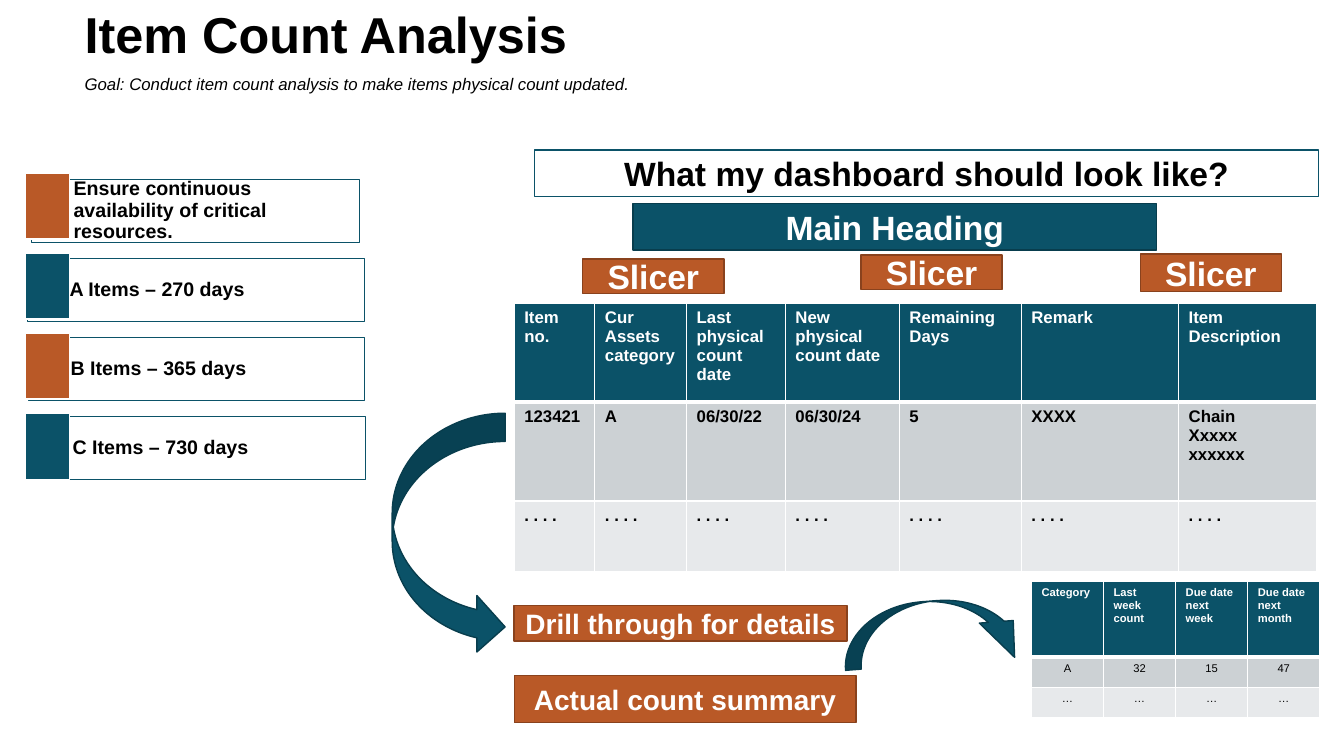
from lxml.etree import SubElement as Sub
from pptx import Presentation
from pptx.dml.color import RGBColor as Rgb
from pptx.enum.shapes import MSO_SHAPE as Kind
from pptx.enum.text import MSO_ANCHOR as Anchor, PP_ALIGN as Align
from pptx.oxml.ns import qn
from pptx.util import Inches, Pt

HUE = {
    "teal": "0B5268", "deep": "083D4D", "rust": "B95927", "brown": "89421D",
    "white": "FFFFFF", "black": "000000", "gray": "CCD1D4", "pale": "E7E9EB",
}
EDGE = {"teal": "deep", "rust": "brown"}
HEAD = {"name": "Arial", "size": Pt(24), "bold": True}
TITLE = {**HEAD, "size": Pt(36)}
GOAL = {"name": "Arial", "size": Pt(12), "bold": False, "italic": True}
LABEL = {**HEAD, "size": Pt(14)}
LINK = {**HEAD, "size": Pt(20)}
CELL = {**HEAD, "size": Pt(12)}
TINY = {**HEAD, "size": Pt(8)}
PLAIN = {**TINY, "bold": False}


def tone(name):
    """Return the named colour."""
    return Rgb.from_string(HUE[name])


def write(frame, text, fmt, hue="black", align=Align.LEFT, space=None):
    """Fill a text frame and format its paragraphs."""
    frame.text = text
    for para in frame.paragraphs:
        para.alignment = align
        para.line_spacing = space
        para.font.color.rgb = tone(hue)
        for key, value in fmt.items():
            setattr(para.font, key, value)


def draw(slide, box, fill, edge, kind=Kind.RECTANGLE, width=1):
    """Add a flat filled shape."""
    shape = slide.shapes.add_shape(kind, *map(Inches, box))
    shape.shadow.inherit = False
    shape.fill.solid()
    shape.fill.fore_color.rgb = tone(fill)
    shape.line.color.rgb = tone(edge)
    shape.line.width = Pt(width)
    return shape


def note(slide, box, text, fmt, pads=(0.1, 0.05, 0.1, 0.05)):
    """Add a text box centred on its height."""
    frame = slide.shapes.add_textbox(*map(Inches, box)).text_frame
    frame.word_wrap = True
    frame.vertical_anchor = Anchor.MIDDLE
    for side, pad in zip(("left", "top", "right", "bottom"), pads):
        setattr(frame, f"margin_{side}", Inches(pad))
    write(frame, text, fmt, space=0.9)


def panel(slide, box, text, fmt, fill="rust", edge=None, ink="white"):
    """Add a box with a centred caption."""
    frame = draw(slide, box, fill, edge or EDGE[fill]).text_frame
    frame.word_wrap = True
    frame.vertical_anchor = Anchor.MIDDLE
    write(frame, text, fmt, ink, Align.CENTER)


def arrow(slide, box, turn, flip=False, bends=()):
    """Add a curved arrow turned by the given degrees."""
    shape = draw(slide, box, "teal", "deep", Kind.CURVED_UP_ARROW)
    shape.rotation = turn
    for i, bend in enumerate(bends):
        shape.adjustments[i] = bend
    if flip:
        shape.element.spPr.find(qn("a:xfrm")).set("flipH", "1")


def rule(cell, row):
    """Draw white borders, thick below the heading row."""
    props = cell._tc.get_or_add_tcPr()
    for side in "LRTB":
        thick = (row, side) in ((0, "B"), (1, "T"))
        line = Sub(props, qn(f"a:ln{side}"), w=str(Pt(3 if thick else 1)))
        Sub(Sub(line, qn("a:solidFill")), qn("a:srgbClr"), val=HUE["white"])


def grid(slide, spot, cols, rows, data, head, body, align=Align.LEFT):
    """Add a table with a teal heading and gray rows."""
    box = (*spot, sum(cols), sum(rows))
    table = slide.shapes.add_table(len(rows), len(cols), *map(Inches, box)).table
    for col, width in zip(table.columns, cols):
        col.width = Inches(width)
    for r, texts in enumerate(data):
        table.rows[r].height = Inches(rows[r])
        for c, text in enumerate(texts):
            cell = table.cell(r, c)
            rule(cell, r)
            cell.fill.solid()
            cell.fill.fore_color.rgb = tone(("teal", "gray", "pale")[r])
            if r:
                write(cell.text_frame, text, body, "black", align)
            else:
                write(cell.text_frame, text, head, "white")


def header(slide, box):
    """Place the title and the goal below it."""
    left, top, width, height = box
    note(slide, box, "Item Count Analysis", TITLE)
    goal = "Goal: Conduct item count analysis to make items physical count updated."
    note(slide, (left, top + 0.66, width, 0.37), goal, GOAL)


def label(slide, box, mark, text, hue):
    """Place one target with its coloured marker."""
    back = draw(slide, box, "white", "teal", width=0.5)
    shade = back.fill._xPr.find(qn("a:solidFill"))[0]
    Sub(shade, qn("a:alpha"), val="40000")
    note(slide, box, text, LABEL, (0.42, 0.06, 0.06, 0.06))
    draw(slide, mark, hue, "white")


def targets(slide, left, top):
    """Stack the count targets."""
    items = (
        ("Ensure continuous availability of critical resources.", 0.06, 3.26),
        ("A Items – 270 days", 0.02, 3.34),
        ("B Items – 365 days", 0.03, 3.33),
        ("C Items – 730 days", 0.05, 3.32),
    )
    for i, (text, shift, width) in enumerate(items):
        box = (left + shift, top + 0.06 + 0.785 * i, width, 0.62)
        mark = (left, top + 0.795 * i, 0.44, 0.65)
        label(slide, box, mark, text, ("rust", "teal")[i % 2])


def board(slide, left, top):
    """Place the dashboard headings, slicers and item table."""
    for x, y, height in ((0.68, 1.08, 0.34), (3.44, 1.04, 0.34), (6.21, 1.03, 0.37)):
        panel(slide, (left + x, top + y, 1.4, height), "Slicer", HEAD)
    panel(slide, (left + 1.18, top + 0.53, 5.19, 0.46), "Main Heading", HEAD, "teal")
    panel(slide, (left + 0.2, top, 7.78, 0.46), "What my dashboard should look like?",
          HEAD, "white", "teal", "black")
    data = (
        ("Item no.", "Cur\nAssets category", "Last physical count date",
         "New physical count date", "Remaining Days", "Remark", "Item Description"),
        ("123421", "A", "06/30/22", "06/30/24", "5", "XXXX", "Chain\nXxxxx\nxxxxxx"),
        (". . . .",) * 7,
    )
    cols = (0.8, 0.91, 0.98, 1.13, 1.21, 1.56, 1.37)
    grid(slide, (left, top + 1.52), cols, (0.98, 0.98, 0.7), data, CELL, CELL)


def detail(slide, left, top):
    """Place the drill-through links, arrows and summary table."""
    panel(slide, (left, top + 0.24, 3.3, 0.35), "Drill through for details", LINK)
    arrow(slide, (left - 1.85, top - 1.03, 2.4, 1.12), 90)
    data = (
        ("Category", "Last week count", "Due date next week", "Due date next month"),
        ("A", "32", "15", "47"),
        ("…",) * 4,
    )
    grid(slide, (left + 5.13, top), (0.715,) * 4, (0.75, 0.3, 0.3), data,
         TINY, PLAIN, Align.CENTER)
    panel(slide, (left, top + 0.93, 3.39, 0.47), "Actual count summary", LINK)
    arrow(slide, (left + 3.26, top + 0.19, 1.85, 0.62), 175.6, True,
          (0.252, 0.543, 0.589))


def main():
    """Build and save the slide."""
    deck = Presentation()
    deck.slide_width, deck.slide_height = Inches(13.33), Inches(7.5)
    slide = deck.slides.add_slide(deck.slide_layouts[6])
    header(slide, (0.74, 0, 10.52, 0.73))
    board(slide, 5.1, 1.49)
    detail(slide, 5.1, 5.77)
    targets(slide, 0.25, 1.72)
    deck.save("out.pptx")


if __name__ == "__main__":
    main()
